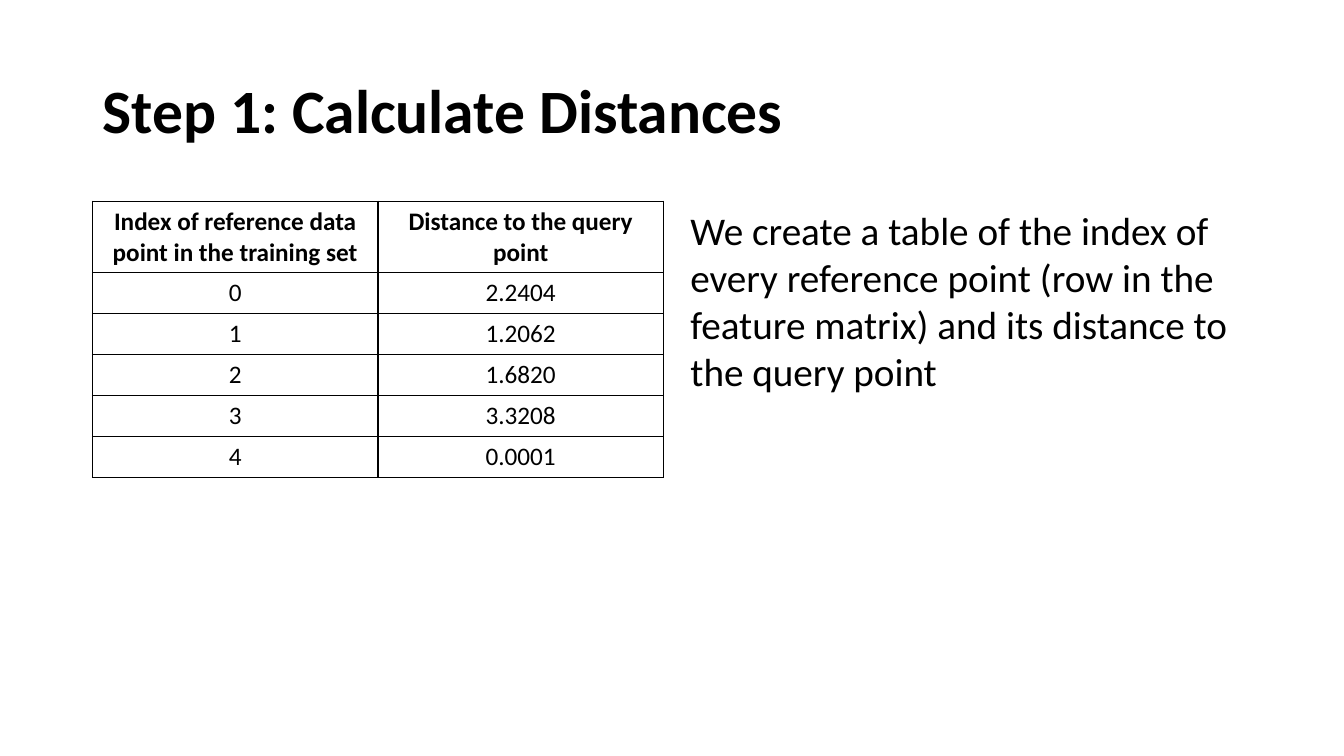
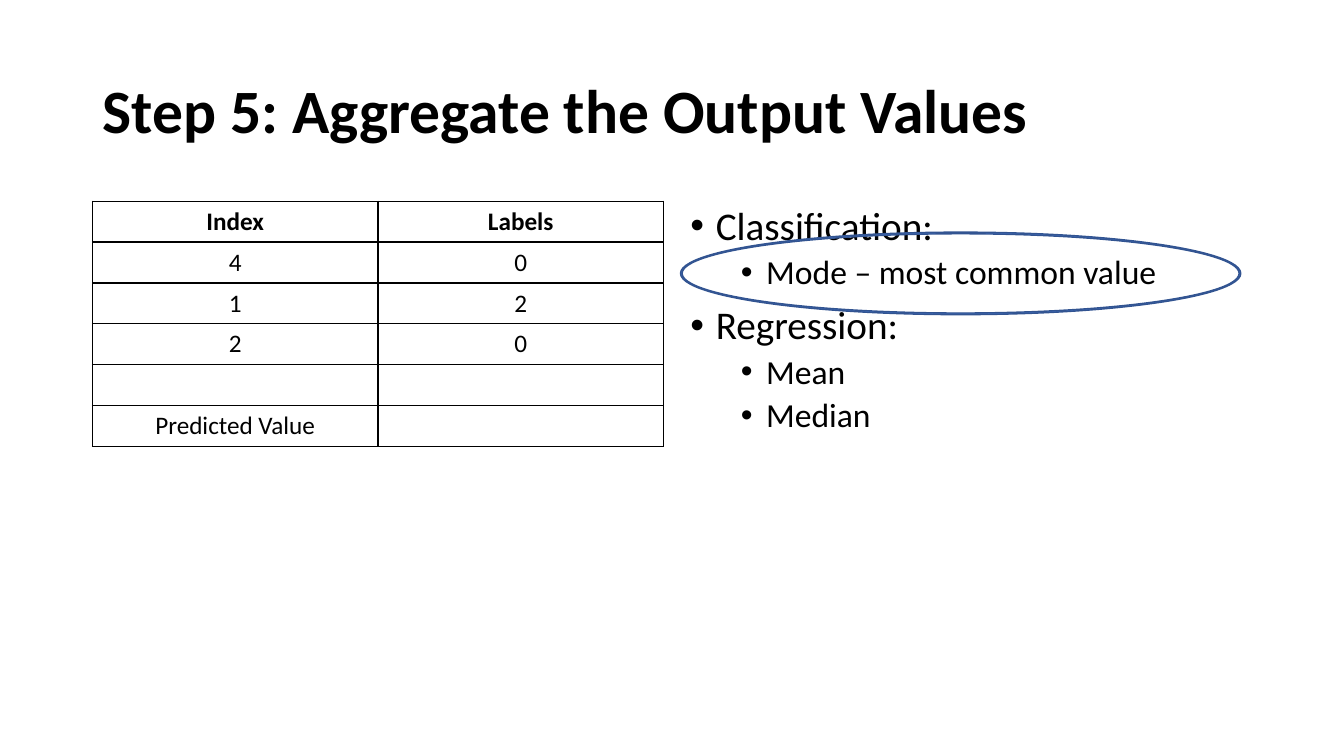
from dataclasses import dataclass

from lxml.etree import SubElement
from pptx import Presentation
from pptx.dml.color import RGBColor
from pptx.enum.shapes import MSO_SHAPE as Preset
from pptx.enum.text import MSO_ANCHOR as Anchor, MSO_AUTO_SIZE as AutoSize, PP_ALIGN as Align
from pptx.oxml.ns import qn
from pptx.slide import Slide
from pptx.table import _Cell as Cell
from pptx.text.text import _Paragraph as Paragraph
from pptx.util import Cm, Pt

BLACK = RGBColor(0x00, 0x00, 0x00)
RING_BLUE = RGBColor(0x44, 0x72, 0xC4)
RING_EDGE = RGBColor(0x32, 0x54, 0x91)
FONT = "Calibri"
SLIDE_WIDTH, SLIDE_HEIGHT = Cm(33.87), Cm(19.05)
MARGIN = Cm(2.33)
TITLE_TOP, TITLE_WIDTH, TITLE_HEIGHT = Cm(1.01), Cm(29.21), Cm(3.68)
CONTENT_TOP, COLUMN_WIDTH = Cm(5.07), Cm(14.39)
NOTES_LEFT, NOTES_HEIGHT = Cm(17.15), Cm(12.09)
ROW_HEIGHT = Cm(1.03)
BULLET_HANG = Cm(0.64)


@dataclass(frozen=True)
class NoteLevel:
    """Size, spacing and indent of one level of the notes."""
    size: int
    space_before: int = 0
    line_spacing: float = 1.0
    left: int = 0
    bullet: str = ""


@dataclass(frozen=True)
class Note:
    """One paragraph beside the table."""
    text: str
    level: NoteLevel


@dataclass(frozen=True)
class Step:
    """Title, table rows and notes of one step."""
    title: str
    rows: list[tuple[str, str]]
    notes: list[Note]


PLAIN = NoteLevel(28)
TASK = NoteLevel(28, 10, 0.9, BULLET_HANG, "•")
METHOD = NoteLevel(24, 5, 0.9, Cm(1.91), "•")

DISTANCES = Step(
    "Step 1: Calculate Distances",
    [
        ("Index of reference data point in the training set", "Distance to the query point"),
        ("0", "2.2404"),
        ("1", "1.2062"),
        ("2", "1.6820"),
        ("3", "3.3208"),
        ("4", "0.0001"),
    ],
    [Note("We create a table of the index of every reference point (row in the "
          "feature matrix) and its distance to the query point", PLAIN)],
)
AGGREGATION = Step(
    "Step 5: Aggregate the Output Values",
    [
        ("Index", "Labels"),
        ("4", "0"),
        ("1", "2"),
        ("2", "0"),
        ("", ""),
        ("Predicted Value", ""),
    ],
    [
        Note("Classification:", TASK),
        Note("Mode – most common value", METHOD),
        Note("Regression:", TASK),
        Note("Mean", METHOD),
        Note("Median", METHOD),
    ],
)


def style(paragraph: Paragraph, size: int, bold: bool = False) -> None:
    """Give the runs of a paragraph the deck's font."""
    for run in paragraph.runs:
        run.font.name = FONT
        run.font.size = Pt(size)
        run.font.bold = bold
        run.font.color.rgb = BLACK


def add_title(slide: Slide, text: str) -> None:
    """Place and fill the title placeholder."""
    title = slide.shapes.title
    title.left, title.top = MARGIN, TITLE_TOP
    title.width, title.height = TITLE_WIDTH, TITLE_HEIGHT
    frame = title.text_frame
    frame.text = text
    frame.auto_size = AutoSize.NONE
    frame.vertical_anchor = Anchor.MIDDLE
    heading = frame.paragraphs[0]
    heading.alignment = Align.LEFT
    heading.line_spacing = 0.9
    style(heading, 44, bold=True)


def outline_cell(cell: Cell) -> None:
    """Draw thin black borders around a cell and clear its fill."""
    properties = cell._tc.get_or_add_tcPr()
    for side in ("a:lnL", "a:lnR", "a:lnT", "a:lnB"):
        border = SubElement(properties, qn(side), w=str(Pt(1)))
        fill = SubElement(border, qn("a:solidFill"))
        SubElement(fill, qn("a:srgbClr"), val=str(BLACK))
    cell.fill.background()


def add_value_table(slide: Slide, rows: list[tuple[str, str]]) -> None:
    """Add the two-column table with a bold header."""
    table = slide.shapes.add_table(len(rows), len(rows[0]), MARGIN, CONTENT_TOP,
                                   COLUMN_WIDTH, ROW_HEIGHT * len(rows)).table
    table.horz_banding = False
    for row_index, values in enumerate(rows):
        table.rows[row_index].height = ROW_HEIGHT
        for column_index, value in enumerate(values):
            cell = table.cell(row_index, column_index)
            outline_cell(cell)
            cell.text_frame.text = value
            entry = cell.text_frame.paragraphs[0]
            entry.alignment = Align.CENTER
            style(entry, 18, bold=row_index == 0)


def add_notes_column(slide: Slide, notes: list[Note]) -> None:
    """Add the text to the right of the table."""
    frame = slide.shapes.add_textbox(NOTES_LEFT, CONTENT_TOP, COLUMN_WIDTH, NOTES_HEIGHT).text_frame
    frame.word_wrap = True
    frame.text = "\n".join(note.text for note in notes)
    for index, (paragraph, note) in enumerate(zip(frame.paragraphs, notes)):
        level = note.level
        if level.bullet:
            properties = paragraph._p.get_or_add_pPr()
            properties.set("marL", str(level.left))
            properties.set("indent", str(-BULLET_HANG))
            SubElement(properties, qn("a:buFont"), typeface="Arial")
            SubElement(properties, qn("a:buChar"), char=level.bullet)
        paragraph.line_spacing = level.line_spacing
        if index:
            paragraph.space_before = Pt(level.space_before)
        style(paragraph, level.size)


def add_highlight_ring(slide: Slide) -> None:
    """Circle the chosen aggregation method."""
    ring = slide.shapes.add_shape(Preset.DONUT, NOTES_LEFT, Cm(5.85), Cm(14.12), Cm(2.08))
    ring.adjustments[0] = 0.02
    ring.shadow.inherit = False
    ring.fill.solid()
    ring.fill.fore_color.rgb = RING_BLUE
    ring.line.color.rgb = RING_EDGE
    ring.line.width = Pt(1)


def main() -> None:
    """Build and save the deck."""
    deck = Presentation()
    deck.slide_width, deck.slide_height = SLIDE_WIDTH, SLIDE_HEIGHT
    title_only = deck.slide_layouts[5]
    for step in (DISTANCES, AGGREGATION):
        slide = deck.slides.add_slide(title_only)
        add_title(slide, step.title)
        add_value_table(slide, step.rows)
        add_notes_column(slide, step.notes)
        if step is AGGREGATION:
            add_highlight_ring(slide)
    deck.save("out.pptx")


if __name__ == "__main__":
    main()
